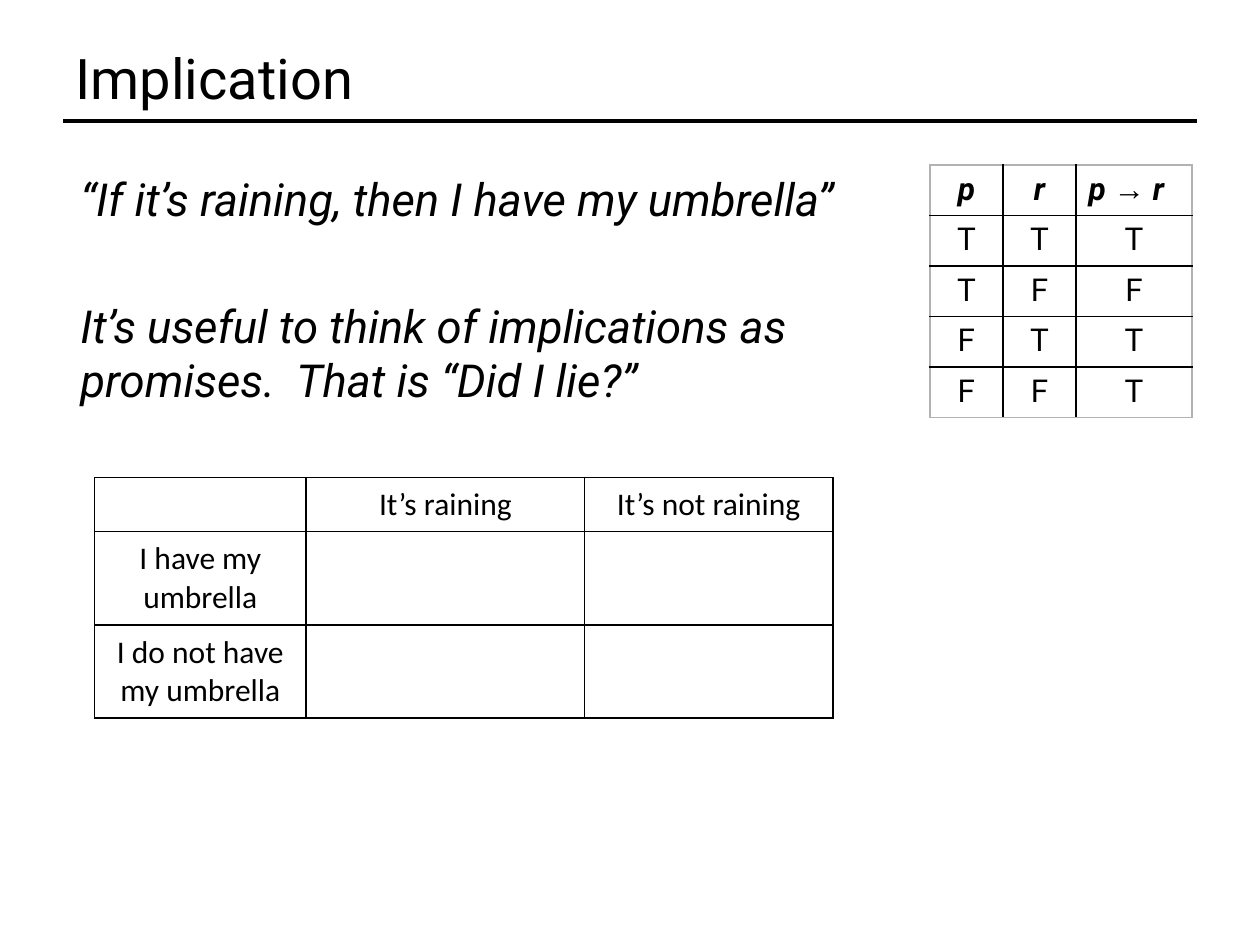
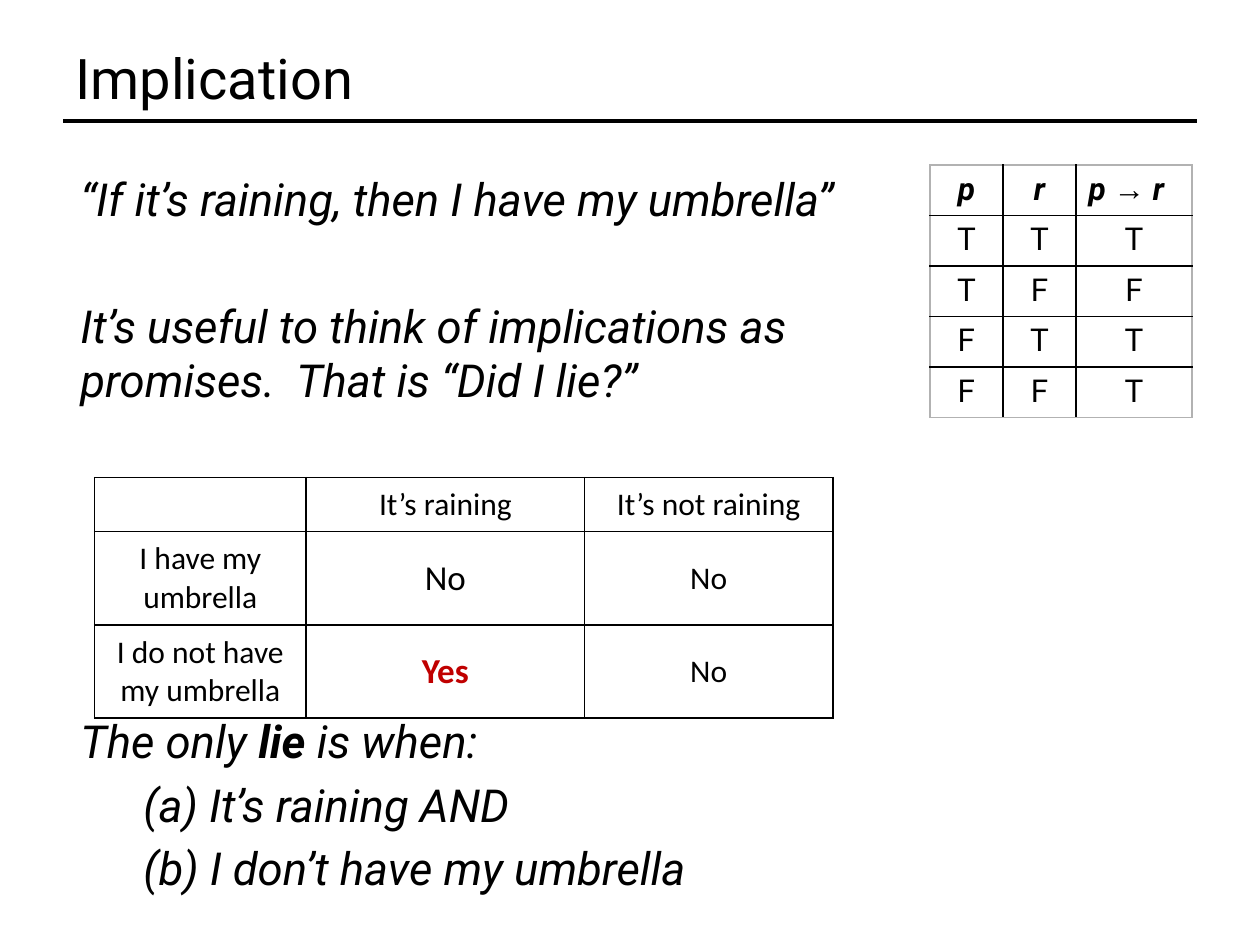
from lxml.etree import SubElement
from pptx import Presentation
from pptx.dml.color import RGBColor
from pptx.enum.shapes import MSO_CONNECTOR as Connector
from pptx.enum.text import MSO_ANCHOR as Anchor, PP_ALIGN as Align
from pptx.oxml.ns import qn
from pptx.util import Emu, Inches, Pt

BLACK = RGBColor(0x00, 0x00, 0x00)
WHITE = RGBColor(0xFF, 0xFF, 0xFF)
GREY = RGBColor(0xB2, 0xB2, 0xB2)
RED = RGBColor(0xC0, 0x00, 0x00)
COLUMNS, ROWS = 100, 75

TITLE = {"name": "Roboto", "size": Pt(32)}
PROSE = {"name": "Roboto", "size": Pt(26), "italic": True}
TRUTH = {"name": "Roboto", "size": Pt(18)}
SYMBOL = {"bold": True, "italic": True}
CASE = {"name": "Calibri", "size": Pt(18)}
LARGE = {"size": Pt(20)}
LIE = {"size": Pt(20), "bold": True, "color": RED}

PROMISE = [
    ("“If it’s raining, then I have my umbrella”", 5.2, 0),
    ("It’s useful to think of implications as promises.  That is “Did I lie?”", 41.2, 0),
]
VERDICT = [
    ([("The only ", {}), ("lie", {"bold": True}), (" is when:", {})], 174.9, 0),
    ("(a) It’s raining AND", 5.2, 5),
    ("(b) I don’t have my umbrella", 5.2, 5),
]
TRUTH_ROWS = [
    [[("p", SYMBOL)], [("r", SYMBOL)],
     [("p ", SYMBOL), ("→", SYMBOL | {"name": "Arial"}), (" r", SYMBOL)]],
    *("TTT", "TFF", "FTT", "FFT"),
]
NO_ANSWERS = [["", ""], ["", ""]]
LIE_ANSWERS = [[[("No", LARGE)], "No"], [[("Yes", LIE)], "No"]]


class Deck:
    """Holds the shared style and the current slide, and adds elements on a grid."""

    def __init__(self):
        self.show = Presentation()
        self.show.slide_width, self.show.slide_height = Inches(10), Inches(7.5)
        self.column = self.show.slide_width / COLUMNS
        self.row = self.show.slide_height / ROWS
        self.slide = None

    def across(self, columns):
        return Emu(round(columns * self.column))

    def down(self, rows):
        return Emu(round(rows * self.row))

    def box(self, left, top, width, height):
        return self.across(left), self.down(top), self.across(width), self.down(height)

    def add_words(self, paragraph, content, style):
        runs = [(content, {})] if isinstance(content, str) else content
        for words, changes in runs:
            if not words:
                continue
            run = paragraph.add_run()
            run.text = words
            look = {"color": BLACK} | style | changes
            run.font.color.rgb = look.pop("color")
            for key, value in look.items():
                setattr(run.font, key, value)

    def start(self, heading):
        self.slide = self.show.slides.add_slide(self.show.slide_layouts[5])
        title = self.slide.shapes.title
        place = dict(zip(("left", "top", "width", "height"), self.box(5, 2.8, 90, 6.6)))
        for key, value in place.items():
            setattr(title, key, value)
        title.text_frame.vertical_anchor = Anchor.MIDDLE
        paragraph = title.text_frame.paragraphs[0]
        paragraph.alignment = Align.LEFT
        self.add_words(paragraph, heading, TITLE)
        self.rule(5, 95, 9.6)

    def rule(self, start, end, height):
        line = self.slide.shapes.add_connector(
            Connector.STRAIGHT, self.across(start), self.down(height),
            self.across(end), self.down(height))
        line.line.color.rgb = BLACK
        line.line.width = Pt(2)
        SubElement(line._element.spPr, qn("a:effectLst"))

    def prose(self, paragraphs, *place):
        frame = self.slide.shapes.add_textbox(*self.box(*place)).text_frame
        frame.word_wrap = True
        for index, (content, gap, indent) in enumerate(paragraphs):
            paragraph = frame.add_paragraph() if index else frame.paragraphs[0]
            paragraph.space_before = Pt(gap)
            if indent:
                paragraph._p.get_or_add_pPr().set("marL", str(self.across(indent)))
            self.add_words(paragraph, content, PROSE)

    def border(self, cell, side, color):
        line = SubElement(cell._tc.get_or_add_tcPr(), qn(f"a:ln{side}"), w=str(Pt(1)))
        fill = SubElement(line, qn("a:solidFill"))
        SubElement(fill, qn("a:srgbClr"), val=str(color))

    def table(self, contents, left, top, widths, heights, style, anchor, edge=BLACK):
        place = self.box(left, top, sum(widths), sum(heights))
        grid = self.slide.shapes.add_table(len(heights), len(widths), *place).table
        grid.first_row = grid.horz_banding = False
        for column, width in zip(grid.columns, widths):
            column.width = self.across(width)
        for row, height in zip(grid.rows, heights):
            row.height = self.down(height)
        last_row, last_column = len(heights) - 1, len(widths) - 1
        for r, row in enumerate(contents):
            for c, content in enumerate(row):
                cell = grid.cell(r, c)
                outer = {"L": c == 0, "R": c == last_column, "T": r == 0, "B": r == last_row}
                for side, at_edge in outer.items():
                    self.border(cell, side, edge if at_edge else BLACK)
                cell.fill.solid()
                cell.fill.fore_color.rgb = WHITE
                cell.vertical_anchor = anchor
                paragraph = cell.text_frame.paragraphs[0]
                paragraph.alignment = Align.CENTER
                self.add_words(paragraph, content, style)
        return grid

    def implication(self, paragraphs, answers):
        self.start("Implication")
        self.prose(paragraphs, 5.4, 13.1, 62.9, 49.5)
        truth = self.table(TRUTH_ROWS, 73.8, 13.1, [5.8, 5.8, 9.2], [3.9] * 5,
                           TRUTH, Anchor.TOP, GREY)
        truth.cell(0, 2).text_frame.paragraphs[0].alignment = Align.LEFT
        cases = [
            ["", "It’s raining", "It’s not raining"],
            ["I have my umbrella", *answers[0]],
            ["I do not have my umbrella", *answers[1]],
        ]
        self.table(cases, 7.5, 37.9, [16.8, 22.1, 19.7], [4.3, 7.4, 7.4],
                   CASE, Anchor.MIDDLE)


def main():
    deck = Deck()
    deck.implication(PROMISE, NO_ANSWERS)
    deck.implication(PROMISE + VERDICT, LIE_ANSWERS)
    deck.show.save("out.pptx")


if __name__ == "__main__":
    main()
